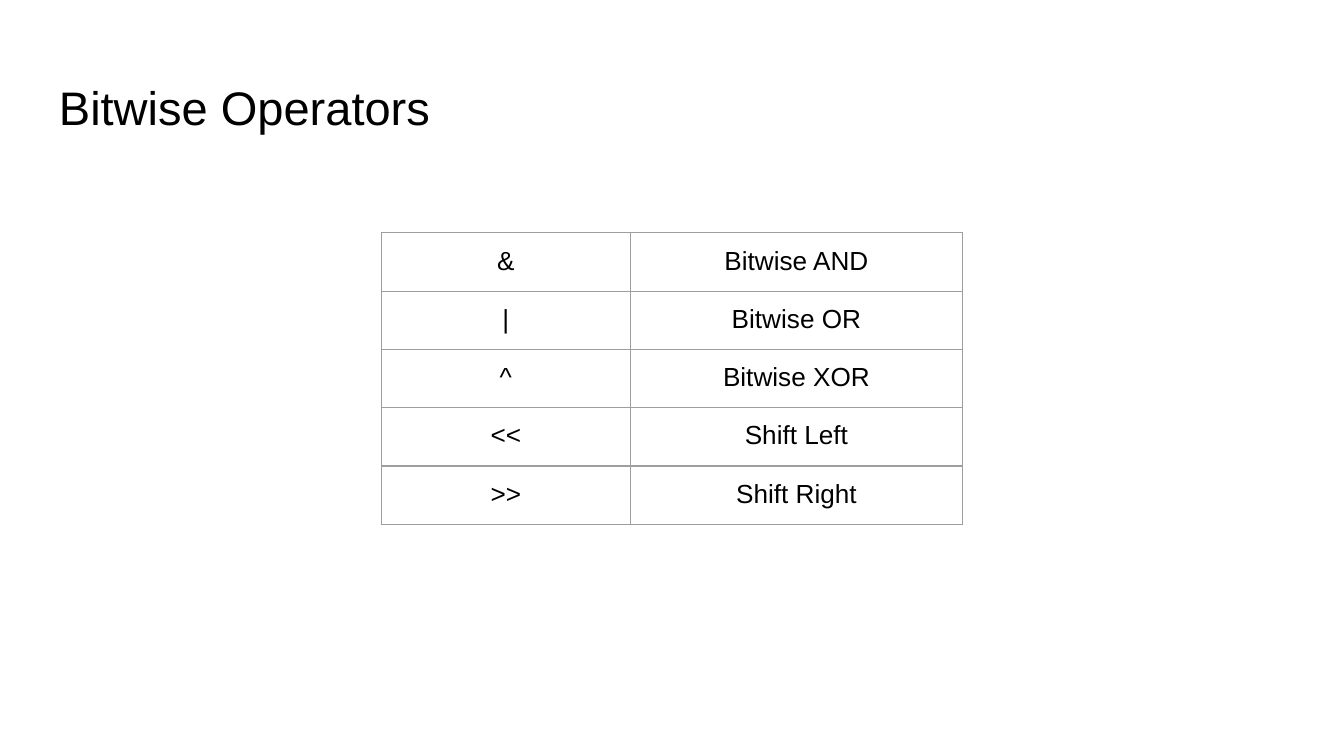
"""Build a slide with a table of bitwise operators."""
from lxml import etree
from pptx import Presentation
from pptx.dml.color import RGBColor
from pptx.enum import text
from pptx.oxml import ns
from pptx.util import Pt

TITLE = "Bitwise Operators"
OPERATORS = [
    ("&", "Bitwise AND"),
    ("|", "Bitwise OR"),
    ("^", "Bitwise XOR"),
    ("<<", "Shift Left"),
    (">>", "Shift Right"),
]
BLACK = RGBColor(0x00, 0x00, 0x00)
GRAY = RGBColor(0x9E, 0x9E, 0x9E)
FONT = "Arial"
SLIDE_WIDTH, SLIDE_HEIGHT = 720, 405
COLUMN_WIDTHS = (133.5, 178)
ROW_HEIGHT = 31.2
TABLE_TOP = 124.75
INSET = Pt(7.2)


def add_text(paragraph, words, size):
    run = paragraph.add_run()
    run.text = words
    run.font.name = FONT
    run.font.size = Pt(size)
    run.font.color.rgb = BLACK


def set_insets(holder):
    holder.margin_left = holder.margin_right = INSET
    holder.margin_top = holder.margin_bottom = INSET


def add_borders(cell):
    properties = cell._tc.get_or_add_tcPr()
    for position, side in enumerate(("lnL", "lnR", "lnT", "lnB")):
        border = etree.Element(ns.qn(f"a:{side}"), w=str(Pt(0.75)))
        fill = etree.SubElement(border, ns.qn("a:solidFill"))
        etree.SubElement(fill, ns.qn("a:srgbClr"), val=str(GRAY))
        properties.insert(position, border)


def add_title(slide):
    title = slide.shapes.add_textbox(Pt(24.5), Pt(35), Pt(671), Pt(45)).text_frame
    title.word_wrap = True
    set_insets(title)
    add_text(title.paragraphs[0], TITLE, 25.2)


def add_operators(slide):
    width = sum(COLUMN_WIDTHS)
    operators = slide.shapes.add_table(
        len(OPERATORS), len(COLUMN_WIDTHS),
        Pt((SLIDE_WIDTH - width) / 2), Pt(TABLE_TOP),
        Pt(width), Pt(ROW_HEIGHT * len(OPERATORS)),
    ).table
    operators.first_row = operators.horz_banding = False
    for column, column_width in zip(operators.columns, COLUMN_WIDTHS):
        column.width = Pt(column_width)
    for row, entries in zip(operators.rows, OPERATORS):
        row.height = Pt(ROW_HEIGHT)
        for cell, entry in zip(row.cells, entries):
            set_insets(cell)
            cell.fill.background()
            add_borders(cell)
            paragraph = cell.text_frame.paragraphs[0]
            paragraph.alignment = text.PP_ALIGN.CENTER
            add_text(paragraph, entry, 14)


def main():
    deck = Presentation()
    deck.slide_width, deck.slide_height = Pt(SLIDE_WIDTH), Pt(SLIDE_HEIGHT)
    slide = deck.slides.add_slide(deck.slide_layouts[6])
    add_title(slide)
    add_operators(slide)
    deck.save("out.pptx")


if __name__ == "__main__":
    main()
